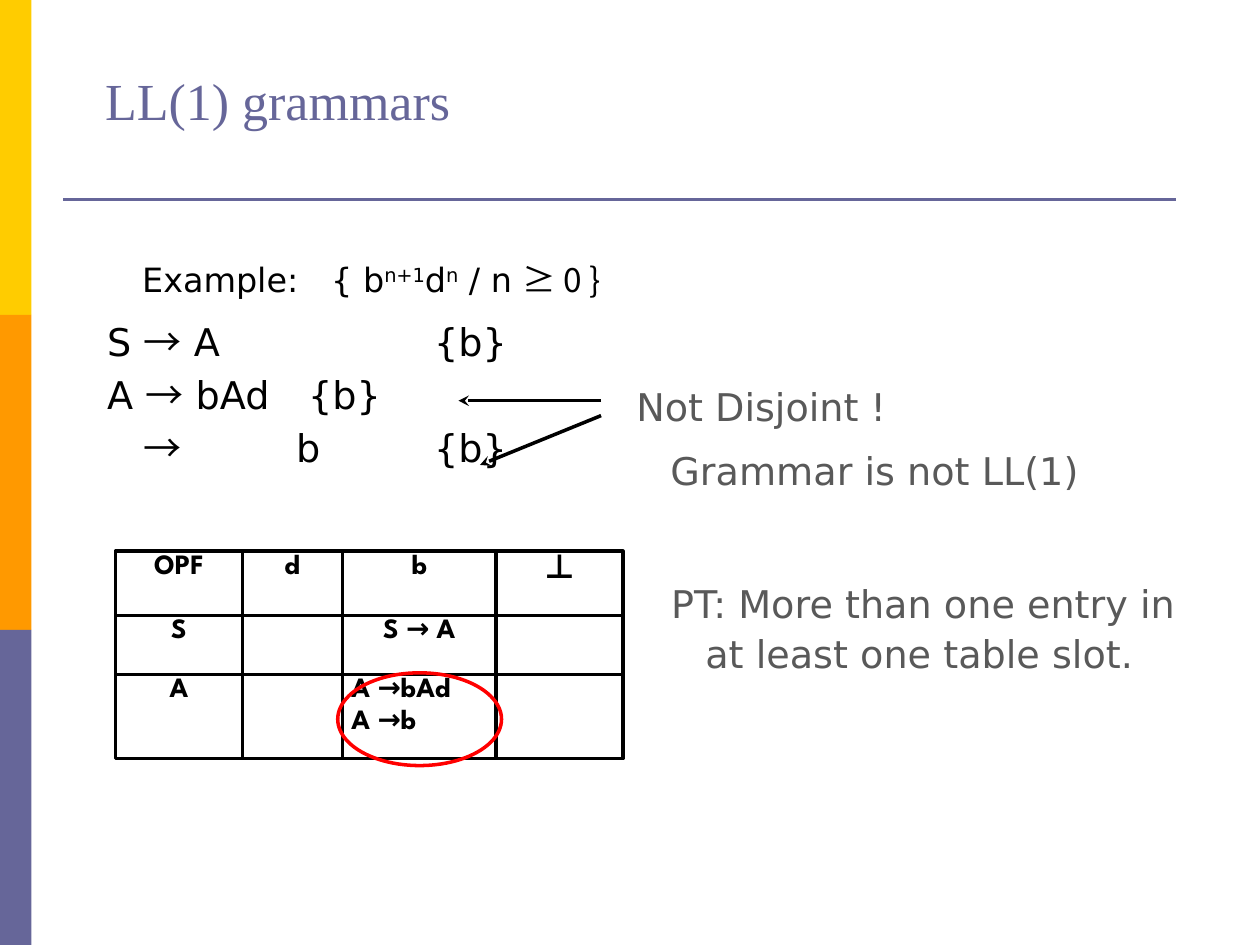
from dataclasses import dataclass

from lxml import etree
from pptx import Presentation
from pptx.dml.color import RGBColor
from pptx.enum import shapes, text
from pptx.oxml import ns
from pptx.util import Pt


@dataclass(frozen=True)
class Theme:
    ink: str = "000000"
    accent: str = "666699"
    orange: str = "FF9900"
    yellow: str = "FFCC00"
    comment: str = "595959"
    alert: str = "FF0000"
    title_font: str = "Times New Roman"
    body_font: str = "DejaVu Sans"
    symbol_font: str = "Noto Sans CJK JP"
    table_font: str = "League Spartan"
    title_size: float = 29.7
    body_size: float = 21.8
    example_size: float = 19.1
    table_size: float = 16
    end_mark_size: float = 19


def rgb(value):
    return RGBColor.from_string(value)


def add_child(parent, tag, **attributes):
    return etree.SubElement(parent, ns.qn(tag), attributes)


def set_indent(paragraph, margin=0, first=0):
    properties = paragraph._p.get_or_add_pPr()
    properties.set("marL", str(Pt(margin)))
    properties.set("indent", str(Pt(first)))


class SlideBuilder:
    def __init__(self, slide, theme):
        self.slide = slide
        self.theme = theme

    def runs(self, paragraph, pieces, size, color, font=None, bold=False):
        """Add (text, kind) pieces; kind is "", "symbol" or "super"."""
        for words, kind in pieces:
            run = paragraph.add_run()
            run.text = words
            style = run.font
            style.size, style.bold = Pt(size), bold
            style.color.rgb = rgb(color)
            style.name = font or self.theme.body_font
            if kind == "symbol":
                style.name = self.theme.symbol_font
            elif kind == "super":
                run._r.get_or_add_rPr().set("baseline", "30000")

    def place(self, shape, box, margins, anchor):
        shape.left, shape.top, shape.width, shape.height = map(Pt, box)
        frame = shape.text_frame
        frame.word_wrap = True
        frame.auto_size = text.MSO_AUTO_SIZE.NONE
        frame.vertical_anchor = anchor
        (frame.margin_left, frame.margin_top,
         frame.margin_right, frame.margin_bottom) = map(Pt, margins)
        return frame

    def title(self, words, box):
        frame = self.place(self.slide.shapes.title, box, (0, 0, 0, 0),
                           text.MSO_ANCHOR.BOTTOM)
        paragraph = frame.paragraphs[0]
        paragraph.alignment = text.PP_ALIGN.LEFT
        self.runs(paragraph, [(words, "")], self.theme.title_size,
                  self.theme.accent, self.theme.title_font)

    def productions(self, rules, box):
        """Write (pieces, first-line indent) rules on the half-inch tab grid."""
        frame = self.place(self.slide.placeholders[1], box, (7.2, 1.4, 0, 0),
                           text.MSO_ANCHOR.TOP)
        for index, (pieces, first) in enumerate(rules):
            paragraph = frame.add_paragraph() if index else frame.paragraphs[0]
            paragraph.alignment = text.PP_ALIGN.LEFT
            paragraph.line_spacing = Pt(26)
            paragraph.space_before = Pt(4.3)
            set_indent(paragraph, first=first)
            self.runs(paragraph, pieces, self.theme.body_size, self.theme.ink)

    def text_box(self, box):
        return self.place(self.slide.shapes.add_textbox(0, 0, 0, 0), box,
                          (7.2, 3.6, 7.2, 3.6), text.MSO_ANCHOR.TOP)

    def example(self, pieces, box):
        paragraph = self.text_box(box).paragraphs[0]
        self.runs(paragraph, pieces, self.theme.example_size, self.theme.ink)

    def comment(self, lines, box):
        """Write (words, first-line indent) lines with a shared left margin."""
        frame = self.text_box(box)
        for index, (words, first) in enumerate(lines):
            paragraph = frame.add_paragraph() if index else frame.paragraphs[0]
            paragraph.line_spacing = 1.1
            paragraph.space_before = Pt(7.8)
            set_indent(paragraph, 19.5, first)
            self.runs(paragraph, [(words, "")], self.theme.body_size,
                      self.theme.comment)

    def shape(self, kind, box, fill=None, line=None):
        shape = self.slide.shapes.add_shape(kind, *map(Pt, box))
        shape.shadow.inherit = False
        if fill:
            shape.fill.solid()
            shape.fill.fore_color.rgb = rgb(fill)
        else:
            shape.fill.background()
        if line:
            shape.line.color.rgb = rgb(line)
            shape.line.width = Pt(2)
        else:
            shape.line.fill.background()

    def line(self, start, end, color, width, arrow=False):
        line = self.slide.shapes.add_connector(
            shapes.MSO_CONNECTOR.STRAIGHT, *map(Pt, (*start, *end)))
        line.line.color.rgb = rgb(color)
        line.line.width = Pt(width)
        if arrow:
            add_child(line.line._get_or_add_ln(), "a:tailEnd", type="stealth")
        add_child(line._element.spPr, "a:effectLst")

    def border(self, cell, side):
        edge = add_child(cell._tc.get_or_add_tcPr(), f"a:{side}",
                         w=str(Pt(2.25)))
        add_child(add_child(edge, "a:solidFill"), "a:srgbClr",
                  val=self.theme.ink)

    def parse_table(self, rows, box, widths, heights):
        table = self.slide.shapes.add_table(
            len(heights), len(widths), *map(Pt, box)).table
        table.first_row = table.horz_banding = False
        for column, width in zip(table.columns, widths):
            column.width = Pt(width)
        for row, height in zip(table.rows, heights):
            row.height = Pt(height)
        for r, entries in enumerate(rows):
            for c, entry in enumerate(entries):
                cell = table.cell(r, c)
                cell.margin_left = cell.margin_right = Pt(5)
                cell.margin_top = cell.margin_bottom = Pt(2.2)
                inner = {"lnL": c > 0, "lnR": c < len(widths) - 1,
                         "lnT": r > 0, "lnB": r < len(heights) - 1}
                for side, drawn in inner.items():
                    if drawn:
                        self.border(cell, side)
                cell.fill.background()
                self.table_entry(cell.text_frame, entry)

    def table_entry(self, frame, entry):
        lines = entry.split("\n")
        size = (self.theme.end_mark_size if entry == "⊥"
                else self.theme.table_size)
        for index, words in enumerate(lines):
            paragraph = frame.add_paragraph() if index else frame.paragraphs[0]
            paragraph.space_before = Pt(3.2)
            paragraph.alignment = (text.PP_ALIGN.LEFT if len(lines) > 1
                                   else text.PP_ALIGN.CENTER)
            if words:
                self.runs(paragraph, [(words, "")], size, self.theme.ink,
                          self.theme.table_font, bold=True)


def main():
    deck = Presentation()
    deck.slide_width, deck.slide_height = Pt(720), Pt(540)
    theme = Theme()
    page = SlideBuilder(deck.slides.add_slide(deck.slide_layouts[0]), theme)
    rect, oval = shapes.MSO_SHAPE.RECTANGLE, shapes.MSO_SHAPE.OVAL

    for band, color in enumerate((theme.yellow, theme.orange, theme.accent)):
        page.shape(rect, (0, 180 * band, 18, 180), fill=color)
    page.line((36, 114), (672, 114), theme.accent, 1.5)
    page.title("LL(1) grammars", (60, 41, 538, 34))

    page.productions([
        ([("S ", ""), ("→", "symbol"), (" A\t\t\t\t {b}", "")], 0),
        ([("A ", ""), ("→", "symbol"), (" bAd\t {b}", "")], 0),
        ([("→", "symbol"), ("\t\tb\t\t {b}", "")], 21),
    ], (54, 180.5, 624, 127))

    table_box = (66, 315, 290, 118.5)
    page.parse_table([
        ["OPF", "d", "b", "⊥"],
        ["S", "", "S → A", ""],
        ["A", "", "A →bAd\nA →b", ""],
    ], table_box, (72.5, 57.3, 87.7, 72.5), (36.7, 33.8, 48))
    page.shape(rect, table_box, line=theme.ink)

    page.example([
        ("Example:\t{ b", ""), ("n+1", "super"), ("d", ""), ("n", "super"),
        (" / n ", ""), ("≥ 0 }", "symbol"),
    ], (74.2, 144.4, 590, 35))
    page.shape(oval, (193, 384.5, 93.6, 53), line=theme.alert)

    page.line((343.5, 229), (262, 229), theme.ink, 2, arrow=True)
    page.line((343.5, 237.5), (274.3, 265.7), theme.ink, 2, arrow=True)
    page.comment([("Not Disjoint !", -19.5), ("Grammar is not LL(1)", 0)],
                 (356.5, 213, 285, 71))
    page.comment([("PT: More than one entry in at least one table slot.",
                   -19.5)], (376.5, 325.5, 310, 63))

    deck.save("out.pptx")


if __name__ == "__main__":
    main()
